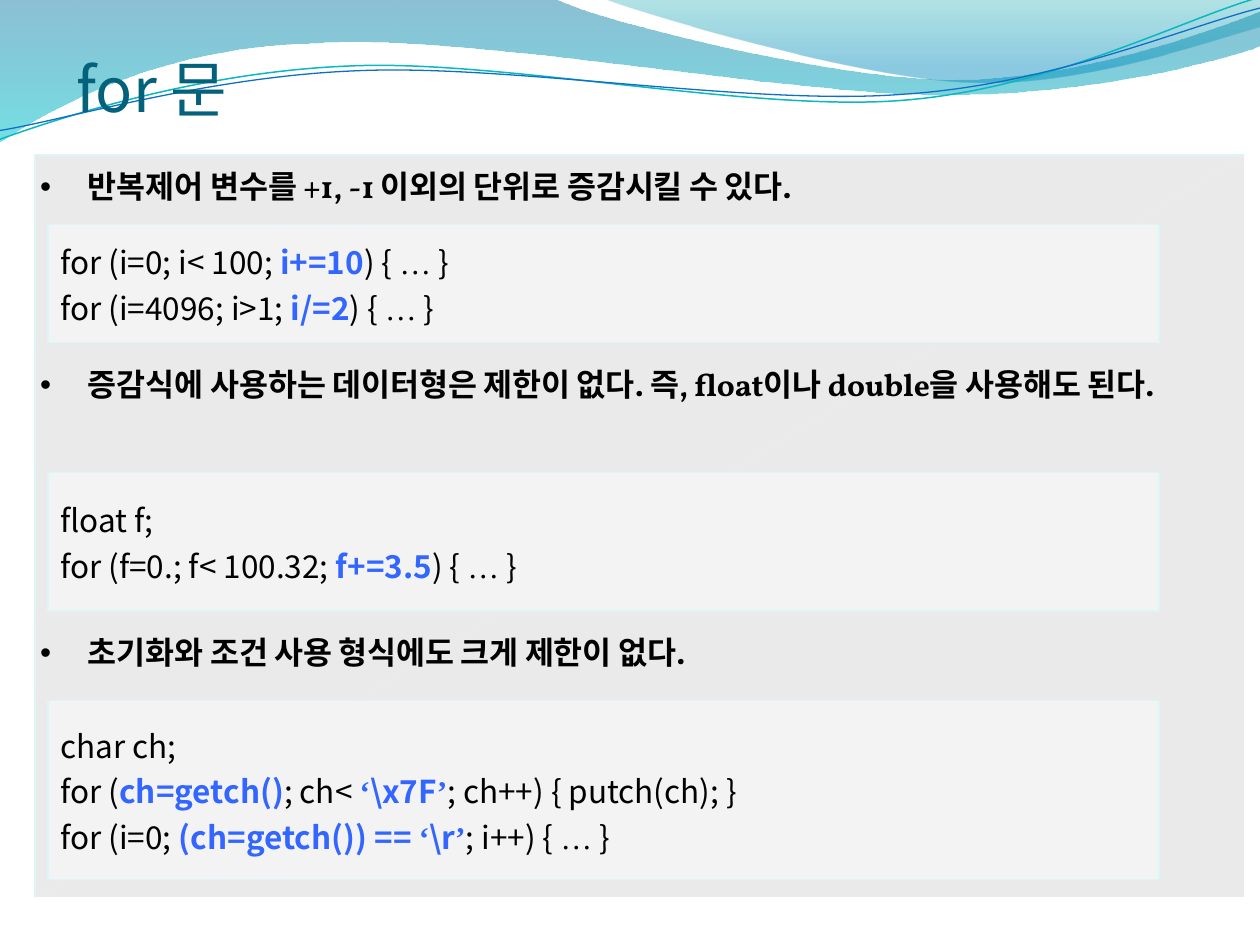
from itertools import groupby

from lxml import etree
from pptx import Presentation
from pptx.dml.color import RGBColor
from pptx.enum.text import MSO_ANCHOR, PP_ALIGN
from pptx.oxml.ns import qn
from pptx.util import Inches, Pt

MIDDLE, BOTTOM = MSO_ANCHOR.MIDDLE, MSO_ANCHOR.BOTTOM
JUSTIFY = PP_ALIGN.JUSTIFY
SANS, SERIF, QUOTE = "Noto Sans CJK KR", "Vollkorn", "Times New Roman"
COLORS = {
    "title": "04617B", "text": "000000", "accent": "3366FF",
    "panel": "EAEAEA", "code": "F3F3F3", "border": "DBF5F9", "white": "FFFFFF",
    "teal_line": "0AB8BF", "blue_line": "0F6FC6",
}

deck = Presentation()
deck.slide_width, deck.slide_height = Inches(10), Inches(7.5)
slide = deck.slides.add_slide(deck.slide_layouts[6])


def add_outline(start, segments, close):
    builder = slide.shapes.build_freeform(Inches(start[0]), Inches(start[1]), scale=1.0)
    builder.add_line_segments([(Inches(s[-2]), Inches(s[-1])) for s in segments], close=close)
    outline = builder.convert_to_shape()
    outline.shadow.inherit = False
    steps = list(outline._element.spPr.iter(qn("a:lnTo")))
    for step, segment in zip(steps, segments):
        if len(segment) == 6:
            step.tag = qn("a:cubicBezTo")
            for position, (x, y) in enumerate([segment[:2], segment[2:4]]):
                control = etree.Element(qn("a:pt"), x=str(Inches(x) - outline.left),
                                        y=str(Inches(y) - outline.top))
                step.insert(position, control)
    return outline


def add_run(paragraph, text, font_name, size, color, bold=False, asian=SANS):
    run = paragraph.add_run()
    run.text = text
    run.font.name, run.font.size, run.font.bold = font_name, Pt(size), bold
    run.font.color.rgb = RGBColor.from_string(COLORS[color])
    etree.SubElement(run.font._element, qn("a:ea"), typeface=asian)


waves = [
    ((0, 0), [(4.4, -0.01), (4.76, 0.17, 6.64, 0.63, 7.58, 0.63),
              (8.53, 0.63, 9.58, 0.26, 10, 0.09), (10.01, 0.36),
              (9.83, 0.44, 8.7, 0.76, 7.46, 0.75), (6.22, 0.75, 3.82, 0.28, 2.57, 0.34),
              (1.29, 0.36, 0.46, 0.83, -0.01, 1.13)],
     [(0, "0074A1", 45), (1, "00C6CF", 55)]),
    ((4.79, -0.01), [(5.09, 0.11, 6.82, 0.62, 7.69, 0.65),
                     (8.56, 0.69, 9.61, 0.32, 10, 0.21), (10, 0)],
     [(0, "00A1A9", 30), (0.8, "008BBF", 45)]),
]
for start, segments, stops in waves:
    wave = add_outline(start, segments, True)
    wave.line.fill.background()
    wave.fill.gradient()
    wave.fill.gradient_angle = 270
    for stop, (position, color, _) in zip(wave.fill.gradient_stops, stops):
        stop.position = position
        stop.color.rgb = RGBColor.from_string(color)
    tints = wave._element.spPr.find(qn("a:gradFill")).iter(qn("a:srgbClr"))
    for tint, (_, _, opacity) in zip(tints, stops):
        etree.SubElement(tint, qn("a:alpha"), val=str(opacity * 1000))

ripples = [
    ((-0.02, 0.87), [(0.47, 0.72, 1.58, 0.41, 2.78, 0.42), (3.96, 0.42, 5.91, 0.93, 7.12, 0.9),
                     (8.32, 0.87, 9.4, 0.36, 10, 0.22)], "teal_line", 0.85),
    ((-0.02, 0.8), [(0.46, 0.75, 1.64, 0.45, 2.83, 0.46), (4.03, 0.46, 5.96, 0.89, 7.16, 0.85),
                    (8.35, 0.83, 9.42, 0.42, 10.02, 0.3)], "blue_line", 0.75),
]
for start, segments, color, width in ripples:
    ripple = add_outline(start, segments, False)
    ripple.rotation = 357.3
    ripple.fill.background()
    ripple.line.color.rgb = RGBColor.from_string(COLORS[color])
    ripple.line.width = Pt(width)

title = slide.shapes.add_textbox(Inches(0.5), Inches(0.38), Inches(9), Inches(0.62)).text_frame
title.word_wrap = True
title.vertical_anchor = BOTTOM
title.margin_left = title.margin_right = title.margin_bottom = 0
title.paragraphs[0].line_spacing = 0.9
add_run(title.paragraphs[0], " for 문", SANS, 35.1, "title")

left, top, right, bottom = 0.28, 1.23, 9.88, 7.13
panel_halves = [
    ((left, bottom), [(left, top), (right, top)], "border"),
    ((right, top), [(right, bottom), (left, bottom)], "white"),
]
for start, corners, edge in panel_halves:
    half = add_outline(start, corners, False)
    half.fill.solid()
    half.fill.fore_color.rgb = RGBColor.from_string(COLORS["panel"])
    half.line.color.rgb = RGBColor.from_string(COLORS[edge])
    half.line.width = Pt(1)

examples = [
    (1.78, 0.94, [["for (i=0; i< 100; ", "i+=10", ") { … }"],
                  ["for (i=4096; i>1; ", "i/=2", ") { … }"]]),
    (3.75, 1.1, [["float f;"],
                 ["for (f=0.; f< 100.32; ", "f+=3.5", ") { … }"]]),
    (5.56, 1.42, [["char ch;"],
                  ["for (", "ch=getch()", "; ch< ", "‘\\x7F’", "; ch++) { putch(ch); }"],
                  ["for (i=0; ", "(ch=getch()) == ‘\\r’", "; i++) { … }"]]),
]
for y, height, code_lines in examples:
    table = slide.shapes.add_table(1, 1, Inches(0.38), Inches(y),
                                   Inches(8.82), Inches(height)).table
    table.first_row = table.horz_banding = False
    cell = table.cell(0, 0)
    cell.vertical_anchor = MIDDLE
    for side in ("a:lnL", "a:lnR", "a:lnT", "a:lnB"):
        border = etree.SubElement(cell._tc.get_or_add_tcPr(), qn(side), w=str(Pt(1)))
        etree.SubElement(etree.SubElement(border, qn("a:solidFill")),
                         qn("a:srgbClr"), val=COLORS["border"])
    cell.fill.solid()
    cell.fill.fore_color.rgb = RGBColor.from_string(COLORS["code"])
    for index, parts in enumerate(code_lines):
        frame = cell.text_frame
        line = frame.add_paragraph() if index else frame.paragraphs[0]
        for position, part in enumerate(parts):
            marked = position % 2 == 1
            for special, letters in groupby(part, lambda letter: letter in "…‘’"):
                add_run(line, "".join(letters), QUOTE if special else SANS, 18,
                        "accent" if marked else "text", marked)

rules = [
    (1.31, 9.06, 0.39, [SANS, SERIF],
     ["반복제어 변수를 ", "+1, -1 ", "이외의 단위로 증감시킬 수 있다", "."]),
    (2.88, 9.63, 0.63, [SANS, SERIF],
     ["증감식에 사용하는 데이터형은 제한이 없다", ". ", "즉", ", float",
      "이나 ", "double", "을 사용해도 된다", "."]),
    (5.01, 9.06, 0.39, [SERIF], ["초기화와 조건 사용 형식에도 크게 제한이 없다."]),
]
for y, width, height, fonts, parts in rules:
    frame = slide.shapes.add_textbox(Inches(0.22), Inches(y),
                                     Inches(width), Inches(height)).text_frame
    frame.word_wrap = True
    rule = frame.paragraphs[0]
    rule.alignment = JUSTIFY
    rule.line_spacing = 0.9
    properties = rule._p.get_or_add_pPr()
    properties.set("marL", str(Inches(0.38)))
    properties.set("indent", str(-Inches(0.38)))
    etree.SubElement(properties, qn("a:buFont"), typeface="Arial")
    etree.SubElement(properties, qn("a:buChar"), char="•")
    for position, part in enumerate(parts):
        add_run(rule, part, fonts[position % len(fonts)], 18, "text", True, SERIF)

deck.save("out.pptx")
